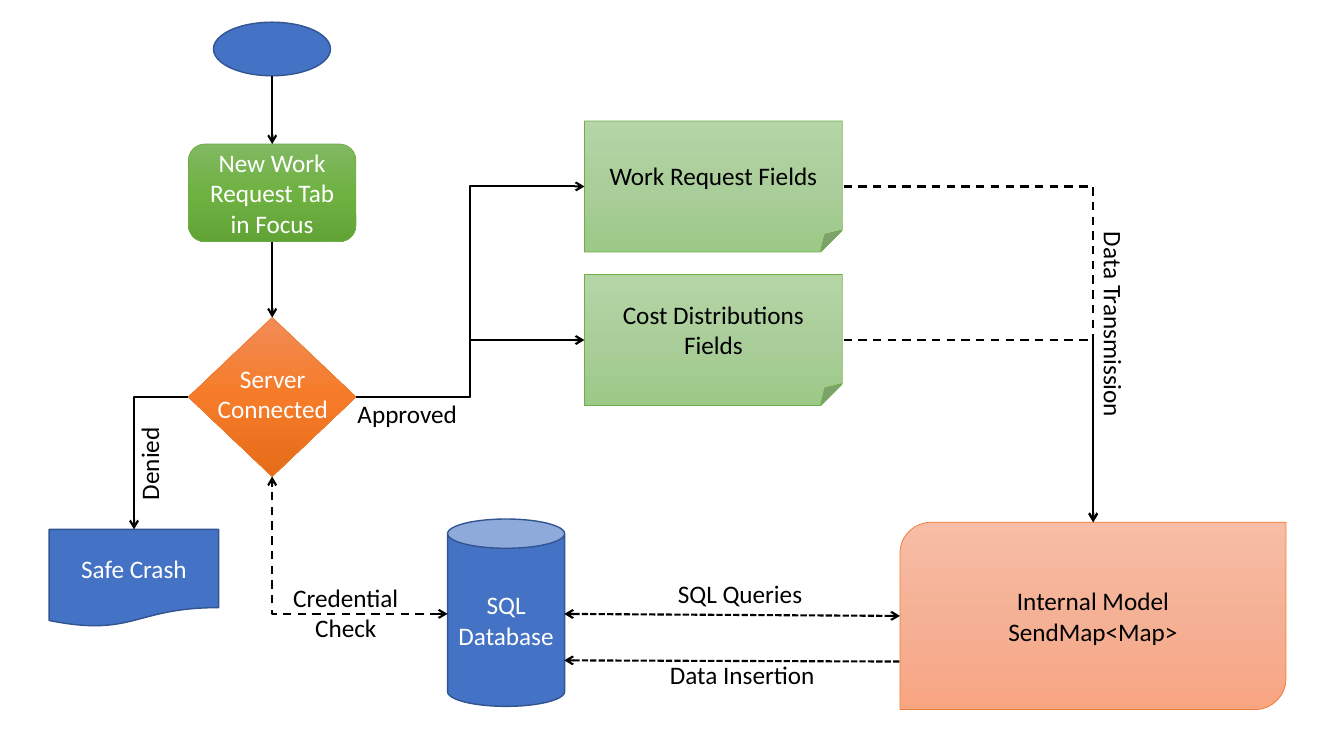
from copy import deepcopy
from pptx import Presentation
from pptx.dml.color import RGBColor
from pptx.enum.dml import MSO_LINE as Dash
from pptx.enum.shapes import MSO_CONNECTOR as Link, MSO_SHAPE as Form
from pptx.enum.text import MSO_ANCHOR as Anchor, MSO_AUTO_SIZE as Auto, PP_ALIGN as Align
from pptx.oxml.ns import qn
from pptx.oxml.xmlchemy import OxmlElement as Node
from pptx.util import Cm, Pt

BLACK = RGBColor(0x00, 0x00, 0x00)
WHITE = RGBColor(0xFF, 0xFF, 0xFF)
BLUE = RGBColor(0x44, 0x72, 0xC4)
NAVY = RGBColor(0x32, 0x54, 0x91)
GREEN = RGBColor(0x70, 0xAD, 0x47)
ORANGE = RGBColor(0xED, 0x7D, 0x31)
LEAF = [RGBColor(0x81, 0xB8, 0x61), RGBColor(0x6F, 0xB2, 0x42), RGBColor(0x62, 0xA3, 0x36)]
MINT = [RGBColor(0xB5, 0xD5, 0xA7), RGBColor(0xAA, 0xCE, 0x9A), RGBColor(0x9C, 0xC9, 0x87)]
FLAME = [RGBColor(0xF1, 0x8C, 0x57), RGBColor(0xF6, 0x7B, 0x28), RGBColor(0xE5, 0x6C, 0x19)]
PEACH = [RGBColor(0xF7, 0xBD, 0xA5), RGBColor(0xF5, 0xB1, 0x96), RGBColor(0xF8, 0xA5, 0x82)]


class Chart:
    font = "Calibri"
    size = Pt(18)

    def __init__(self, slide):
        self.shapes = slide.shapes

    def letter(self, frame, text, color, align=Align.CENTER):
        """Set the text of a frame in the common style."""
        frame.word_wrap = True
        frame.text = text
        for para in frame.paragraphs:
            para.alignment = align
            for run in para.runs:
                run.font.name = self.font
                run.font.size = self.size
                run.font.color.rgb = color

    def shade(self, shape, colors):
        """Fill with a three-stop gradient running from top to bottom."""
        fill = shape.fill
        fill.gradient()
        fill.gradient_angle = 270
        stops = shape.element.spPr.find(qn("a:gradFill")).find(qn("a:gsLst"))
        stops.insert(1, deepcopy(stops[0]))
        for i, (stop, color) in enumerate(zip(fill.gradient_stops, colors)):
            stop.position = i / 2
            stop.color.rgb = color

    def node(self, form, box, fill=BLUE, edge=NAVY, text="", color=WHITE):
        shape = self.shapes.add_shape(form, *map(Cm, box))
        shape.shadow.inherit = False
        if isinstance(fill, list):
            self.shade(shape, fill)
            shape.line.width = Pt(0.5)
        else:
            shape.fill.solid()
            shape.fill.fore_color.rgb = fill
            shape.line.width = Pt(1)
        shape.line.color.rgb = edge
        if text:
            shape.text_frame.vertical_anchor = Anchor.MIDDLE
            self.letter(shape.text_frame, text, color)
        return shape

    def label(self, text, box, color=BLACK, align=Align.CENTER, turn=0):
        area = self.shapes.add_textbox(*map(Cm, box))
        area.rotation = turn
        self.letter(area.text_frame, text, color, align)
        area.text_frame.auto_size = Auto.SHAPE_TO_FIT_TEXT

    def link(self, start, end, kind=Link.STRAIGHT, dash=None, ends=("tailEnd",)):
        line = self.shapes.add_connector(kind, *map(Cm, start + end))
        line.line.color.rgb = BLACK
        line.line.width = Pt(1.5)
        if dash:
            line.line.dash_style = dash
        props = line.element.spPr
        for name in ends:
            tip = Node("a:" + name)
            tip.set("type", "arrow")
            props.find(qn("a:ln")).append(tip)
        props.append(Node("a:effectLst"))
        return line

    def corner(self, start, end, **style):
        """Connect sideways first, then up or down, with a single bend."""
        line = self.link(start, end, Link.ELBOW, **style)
        line.element.spPr.find(qn("a:prstGeom")).set("prst", "bentConnector2")


def main():
    deck = Presentation()
    deck.slide_width, deck.slide_height = Cm(33.87), Cm(19.05)
    chart = Chart(deck.slides.add_slide(deck.slide_layouts[6]))
    both = ("headEnd", "tailEnd")
    axis, mid = 6.86, 10.01

    chart.node(Form.CAN, (11.28, 13.08, 2.95, 4.72), text="SQL Database")
    chart.node(Form.OVAL, (5.38, 0.56, 2.95, 1.35))
    check = chart.node(Form.FLOWCHART_DECISION, (4.75, 8, 4.22, 4.01), FLAME, ORANGE)
    chart.label("Server Connected", (5.21, 9.02, 3.33, 1.8), WHITE)
    chart.node(Form.ROUND_2_DIAG_RECTANGLE, (22.68, 13.16, 9.73, 4.72), PEACH, ORANGE,
               "Internal Model\nSendMap<Map>", BLACK)
    tab = chart.node(Form.ROUNDED_RECTANGLE, (4.75, 3.63, 4.22, 2.46), LEAF, GREEN,
                     "New Work Request Tab\nin Focus")
    chart.node(Form.FLOWCHART_DOCUMENT, (1.24, 13.34, 4.27, 2.46), text="Safe Crash")

    chart.link((axis, 1.91), (axis, 3.63)).end_connect(tab, 0)
    step = chart.link((axis, 6.09), (axis, 8))
    step.begin_connect(tab, 2)
    step.end_connect(check, 0)

    for i, name in enumerate(("Work Request Fields", "Cost Distributions Fields")):
        top = 3.05 + 3.87 * i
        row = top + 1.65
        chart.node(Form.FOLDED_CORNER, (14.73, top, 6.5, 3.3), MINT, GREEN, name, BLACK)
        chart.link((8.97, mid), (14.73, row), Link.ELBOW)
        chart.corner((21.26, row), (27.55, 13.16), dash=Dash.DASH)

    chart.corner((4.75, mid), (3.38, 13.34))
    chart.corner((11.28, 15.47), (axis, 12.01), dash=Dash.DASH, ends=both)
    chart.link((14.22, 15.47), (22.68, 15.52), dash=Dash.SQUARE_DOT, ends=both)
    chart.link((14.22, 16.64), (22.68, 16.67), dash=Dash.SQUARE_DOT, ends=("headEnd",))

    chart.label("Approved", (8.76, 9.91, 3.12, 1.02), align=Align.LEFT)
    chart.label("Denied", (2.44, 11.02, 2.64, 1.02), align=Align.LEFT, turn=270)
    chart.label("Credential Check", (6.91, 14.55, 3.61, 1.8))
    chart.label("SQL Queries", (16.76, 14.45, 3.78, 1.02))
    chart.label("Data Insertion", (16.51, 16.48, 4.39, 1.02))
    chart.label("Data Transmission", (25.4, 7.67, 5.33, 1.02), turn=90)
    deck.save("out.pptx")


if __name__ == "__main__":
    main()
